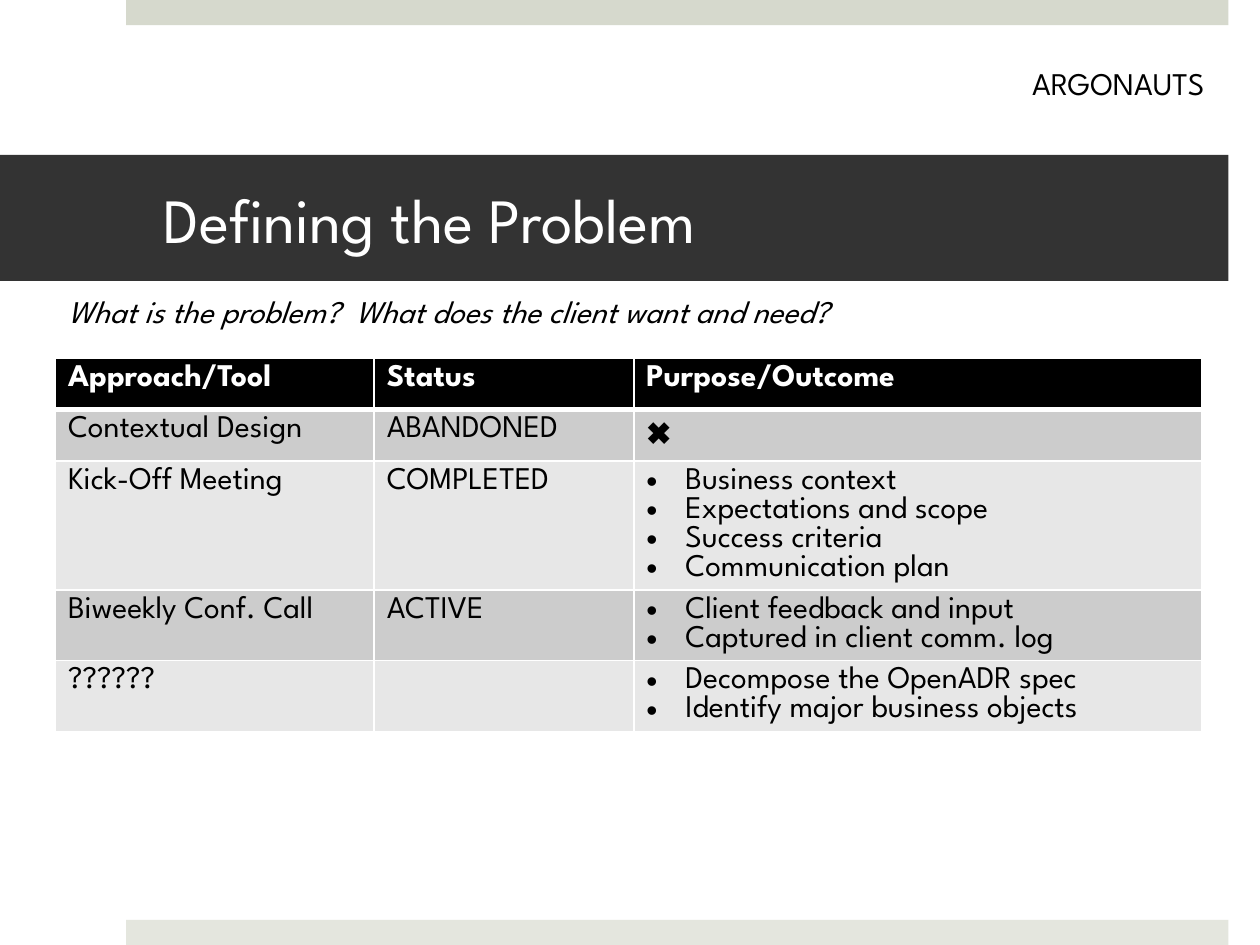
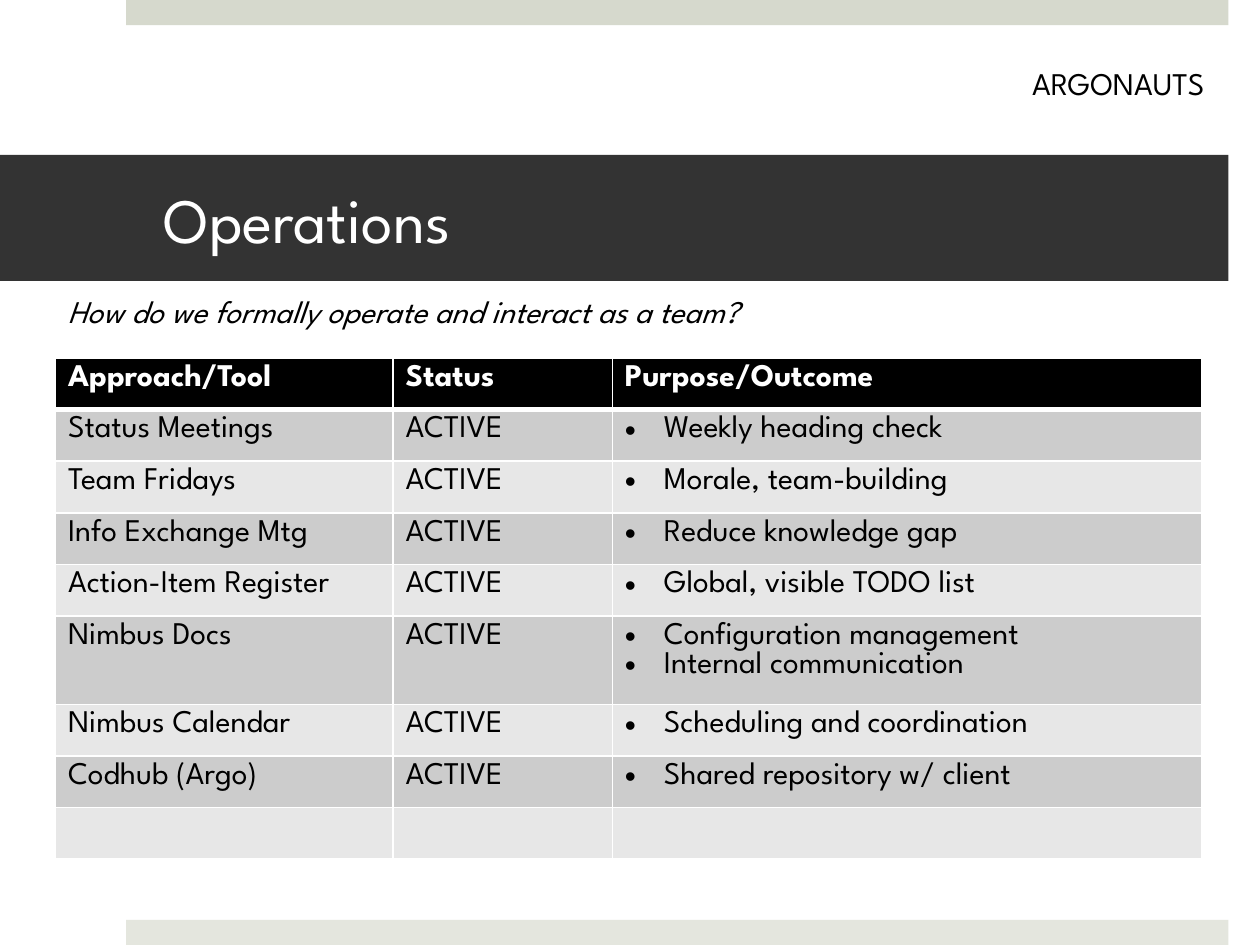
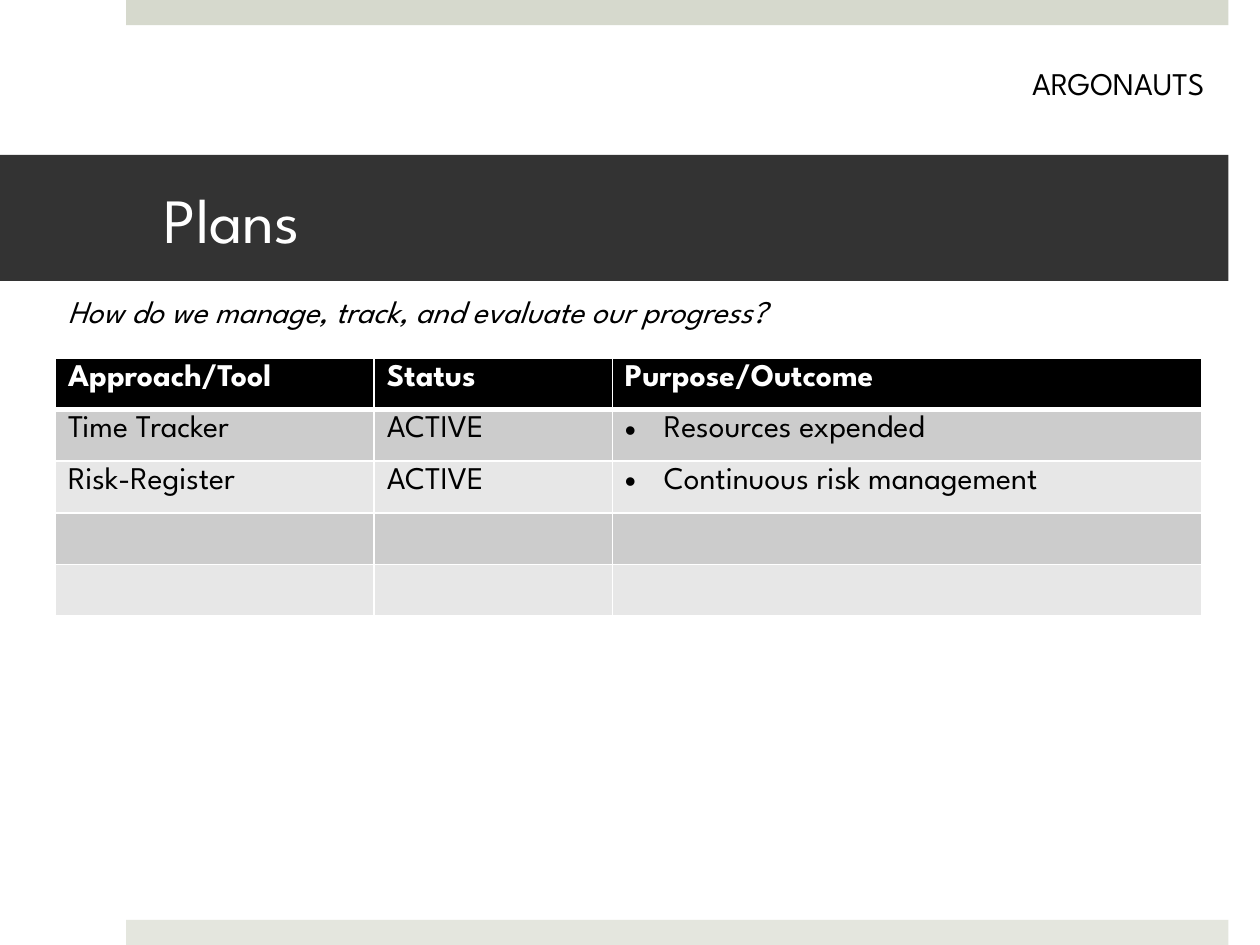
"""Build the Argonauts slides on approaches and tools, their status and purpose."""

from dataclasses import dataclass

from lxml import etree
from pptx import Presentation
from pptx.dml.color import RGBColor
from pptx.enum import shapes, text
from pptx.oxml import ns
from pptx.util import Inches, Pt

FONT = "League Spartan"
SYMBOL_FONT = "Arial"
CROSS = "✖"
BLACK = RGBColor(0x00, 0x00, 0x00)
WHITE = RGBColor(0xFF, 0xFF, 0xFF)
CHARCOAL = RGBColor(0x33, 0x33, 0x33)
TOP_SAGE = RGBColor(0xD6, 0xD9, 0xCD)
BOTTOM_SAGE = RGBColor(0xE4, 0xE6, 0xDE)
ROW_FILLS = (RGBColor(0xCC, 0xCC, 0xCC), RGBColor(0xE7, 0xE7, 0xE7))

HEADER = ("Approach/Tool", "Status", "Purpose/Outcome")
ROW_HEIGHT = 0.41
BULLET_INDENT = Inches(0.31)
THIN, THICK = Pt(1), Pt(3)


@dataclass(frozen=True)
class Area:
    """A rectangle measured in inches."""

    left: float
    top: float
    width: float
    height: float

    def lengths(self):
        """Return the four sides as slide lengths."""
        return [Inches(side) for side in (self.left, self.top, self.width, self.height)]


@dataclass(frozen=True)
class Entry:
    """One table row: an approach, its status and its outcomes."""

    approach: str = ""
    status: str = ""
    outcomes: tuple[str, ...] = ()


@dataclass(frozen=True)
class Topic:
    """The content of one slide."""

    title: str
    question: str
    columns: tuple[float, float, float]
    entries: tuple[Entry, ...]


TOP_BAND = Area(1, 0, 8.75, 0.2)
BOTTOM_BAND = Area(1, 7.3, 8.75, 0.2)
TITLE_BAND = Area(0, 1.23, 9.75, 1)
QUESTION = Area(0.44, 2.27, 7.66, 0.4)
TEAM = Area(8, 0.46, 1.75, 0.4)
TABLE_LEFT, TABLE_TOP = 0.44, 2.84

TOPICS = (
    Topic(
        "Defining the Problem",
        "What is the problem?  What does the client want and need?",
        (2.53, 2.06, 4.51),
        (
            Entry("Contextual Design", "ABANDONED", (CROSS,)),
            Entry("Kick-Off Meeting", "COMPLETED", (
                "Business context", "Expectations and scope",
                "Success criteria", "Communication plan")),
            Entry("Biweekly Conf. Call", "ACTIVE", (
                "Client feedback and input", "Captured in client comm. log")),
            Entry("??????", "", (
                "Decompose the OpenADR spec", "Identify major business objects")),
        ),
    ),
    Topic(
        "Operations",
        "How do we formally operate and interact as a team?",
        (2.68, 1.74, 4.68),
        (
            Entry("Status Meetings", "ACTIVE", ("Weekly heading check",)),
            Entry("Team Fridays", "ACTIVE", ("Morale, team-building",)),
            Entry("Info Exchange Mtg", "ACTIVE", ("Reduce knowledge gap",)),
            Entry("Action-Item Register", "ACTIVE", ("Global, visible TODO list",)),
            Entry("Nimbus Docs", "ACTIVE", (
                "Configuration management", "Internal communication")),
            Entry("Nimbus Calendar", "ACTIVE", ("Scheduling and coordination",)),
            Entry("Codhub (Argo)", "ACTIVE", ("Shared repository w/ client",)),
            Entry(),
        ),
    ),
    Topic(
        "Plans",
        "How do we manage, track, and evaluate our progress?",
        (2.53, 1.89, 4.68),
        (
            Entry("Time Tracker", "ACTIVE", ("Resources expended",)),
            Entry("Risk-Register", "ACTIVE", ("Continuous risk management",)),
            Entry(),
            Entry(),
        ),
    ),
)


def style(paragraph, size: float = 18, color: RGBColor = BLACK, bold: bool = False,
          italic: bool = False, name: str = FONT) -> None:
    """Set the font of a whole paragraph."""
    font = paragraph.font
    font.name, font.size, font.bold, font.italic = name, Pt(size), bold, italic
    font.color.rgb = color


def add_band(page, area: Area, color: RGBColor):
    """Draw a plain filled rectangle."""
    band = page.shapes.add_shape(shapes.MSO_SHAPE.RECTANGLE, *area.lengths())
    band.shadow.inherit = False
    band.fill.solid()
    band.fill.fore_color.rgb = color
    band.line.fill.background()
    return band


def add_title(page, title: str) -> None:
    """Draw the dark title band with its text."""
    frame = add_band(page, TITLE_BAND, CHARCOAL).text_frame
    frame.word_wrap = True
    frame.vertical_anchor = text.MSO_ANCHOR.MIDDLE
    frame.margin_left, frame.margin_right = Inches(1.3), Inches(0.3)
    paragraph = frame.paragraphs[0]
    paragraph.text = title
    paragraph.alignment = text.PP_ALIGN.LEFT
    style(paragraph, size=36, color=WHITE)


def add_label(page, area: Area, words: str, align=text.PP_ALIGN.LEFT,
              italic: bool = False) -> None:
    """Add one line of text."""
    frame = page.shapes.add_textbox(*area.lengths()).text_frame
    frame.word_wrap = True
    paragraph = frame.paragraphs[0]
    paragraph.text = words
    paragraph.alignment = align
    style(paragraph, italic=italic)


def add_bullet(paragraph) -> None:
    """Give a paragraph a hanging bullet."""
    properties = paragraph._p.get_or_add_pPr()
    properties.set("marL", str(BULLET_INDENT))
    properties.set("indent", str(-BULLET_INDENT))
    etree.SubElement(properties, ns.qn("a:buFont"), typeface=SYMBOL_FONT)
    etree.SubElement(properties, ns.qn("a:buChar"), char="•")


def paint_cell(cell, color: RGBColor, top: int, bottom: int) -> None:
    """Give a cell white borders and a fill."""
    properties = cell._tc.get_or_add_tcPr()
    for side, width in zip("LRTB", (THIN, THIN, top, bottom)):
        line = etree.SubElement(properties, ns.qn(f"a:ln{side}"), w=str(width))
        fill = etree.SubElement(line, ns.qn("a:solidFill"))
        etree.SubElement(fill, ns.qn("a:srgbClr"), val=str(WHITE))
    cell.fill.solid()
    cell.fill.fore_color.rgb = color


def write_outcomes(cell, outcomes: tuple[str, ...]) -> None:
    """List outcomes as bullets, or show a lone cross."""
    frame = cell.text_frame
    frame.text = "\n".join(outcomes)
    for paragraph in frame.paragraphs:
        if outcomes and outcomes != (CROSS,):
            add_bullet(paragraph)
        style(paragraph, name=SYMBOL_FONT if outcomes == (CROSS,) else FONT)


def add_entries(page, topic: Topic) -> None:
    """Add the table of approaches."""
    count = len(topic.entries) + 1
    area = Area(TABLE_LEFT, TABLE_TOP, sum(topic.columns), count * ROW_HEIGHT)
    table = page.shapes.add_table(count, len(HEADER), *area.lengths()).table
    table.horz_banding = False
    for column, width in zip(table.columns, topic.columns):
        column.width = Inches(width)
    for cell, heading in zip(table.rows[0].cells, HEADER):
        paint_cell(cell, BLACK, THIN, THICK)
        cell.text = heading
        style(cell.text_frame.paragraphs[0], color=WHITE, bold=True)
    for index, entry in enumerate(topic.entries):
        cells = list(table.rows[index + 1].cells)
        for cell in cells:
            paint_cell(cell, ROW_FILLS[index % 2], THIN if index else THICK, THIN)
        for cell, words in zip(cells, (entry.approach, entry.status)):
            cell.text = words
            style(cell.text_frame.paragraphs[0])
        write_outcomes(cells[2], entry.outcomes)


def add_page(deck, topic: Topic) -> None:
    """Add one slide."""
    page = deck.slides.add_slide(deck.slide_layouts[6])
    add_band(page, TOP_BAND, TOP_SAGE)
    add_band(page, BOTTOM_BAND, BOTTOM_SAGE)
    add_title(page, topic.title)
    add_entries(page, topic)
    add_label(page, QUESTION, topic.question, italic=True)
    add_label(page, TEAM, "ARGONAUTS", align=text.PP_ALIGN.CENTER)


def main() -> None:
    """Build and save the deck."""
    deck = Presentation()
    deck.slide_width, deck.slide_height = Inches(10), Inches(7.5)
    for topic in TOPICS:
        add_page(deck, topic)
    deck.save("out.pptx")


if __name__ == "__main__":
    main()
